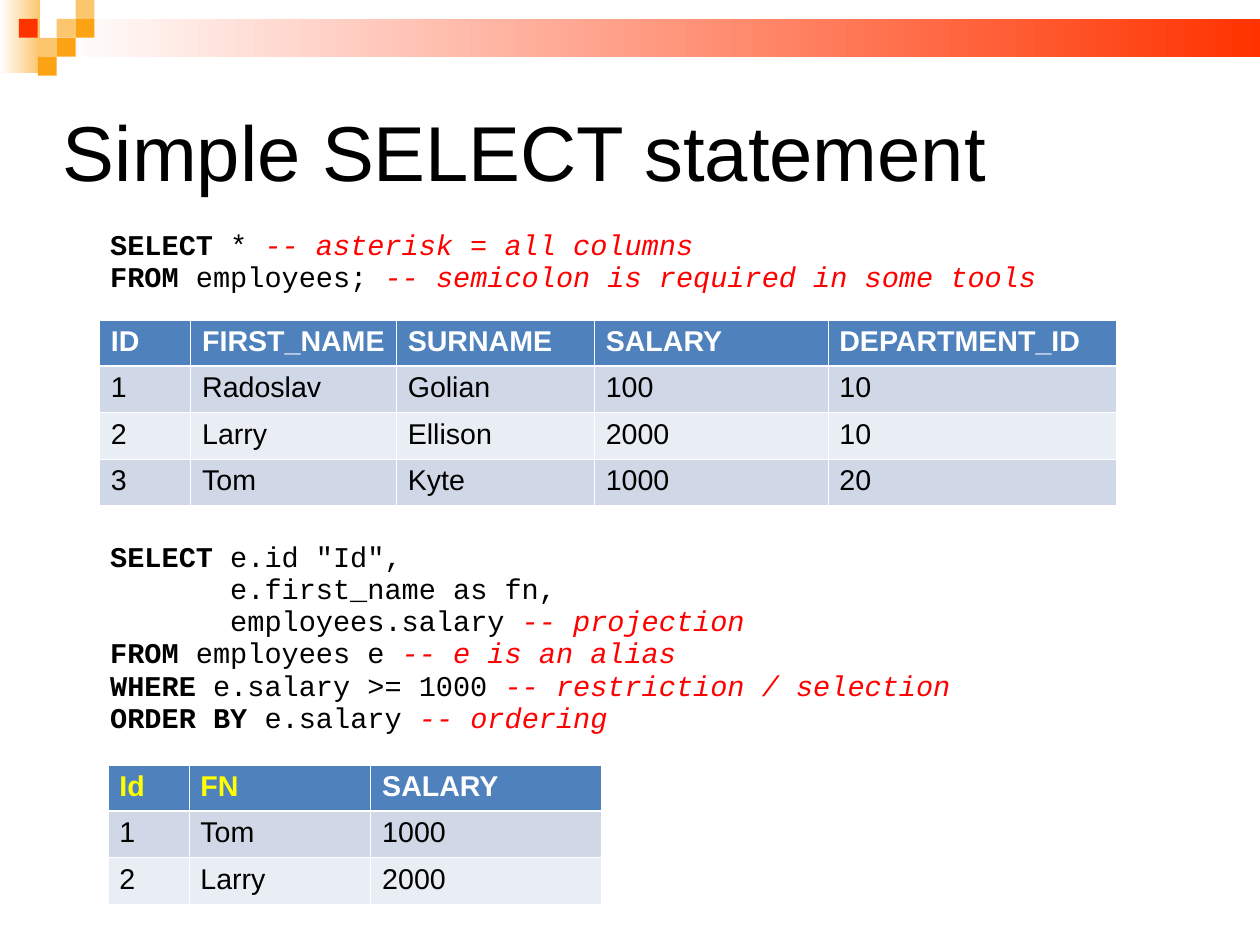
from lxml.etree import SubElement
from pptx import Presentation
from pptx.dml.color import RGBColor
from pptx.enum.shapes import MSO_SHAPE
from pptx.enum.text import MSO_ANCHOR
from pptx.oxml.ns import qn
from pptx.util import Cm, Pt

BLACK, WHITE, RED, YELLOW = "000000", "FFFFFF", "FF0000", "FFFF00"
SCARLET, ORANGE, PEACH = "FF3300", "FBA313", "FCC66E"
HEADER_BLUE, BANDS = "4F81BD", ("D0D8E8", "E9EDF4")
THIN, THICK = 0.45, 1.47

# Code lines: (keyword, plain code, comment)
ALL_COLUMNS_QUERY = [
    ("SELECT ", "* ", "-- asterisk = all columns"),
    ("FROM", " employees; ", "-- semicolon is required in some tools"),
]
FILTERED_QUERY = [
    ("SELECT ", 'e.id "Id",\n       e.first_name as fn,\n       employees.salary ',
     "-- projection"),
    ("FROM", " employees e ", "-- e is an alias"),
    ("WHERE ", "e.salary >= 1000 ", "-- restriction / selection"),
    ("ORDER BY ", "e.salary ", "-- ordering"),
]
EMPLOYEES = [
    ("ID", "FIRST_NAME", "SURNAME", "SALARY", "DEPARTMENT_ID"),
    ("1", "Radoslav", "Golian", "100", "10"),
    ("2", "Larry", "Ellison", "2000", "10"),
    ("3", "Tom", "Kyte", "1000", "20"),
]
FILTERED_ROWS = [("Id", "FN", "SALARY"), ("1", "Tom", "1000"), ("2", "Larry", "2000")]


def color(hex_value):
    return RGBColor.from_string(hex_value)


def add_block(slide, left, top, width, height, fill_color, fade=False):
    block = slide.shapes.add_shape(
        MSO_SHAPE.RECTANGLE, Cm(left), Cm(top), Cm(width), Cm(height))
    block.shadow.inherit = False
    block.line.fill.background()
    if fade:
        block.fill.gradient()
        block.fill.gradient_angle = 0
        for stop, stop_color in zip(block.fill.gradient_stops, (WHITE, fill_color)):
            stop.color.rgb = color(stop_color)
    else:
        block.fill.solid()
        block.fill.fore_color.rgb = color(fill_color)


def add_banner(slide, left, top, width, tile):
    # Fading strips
    add_block(slide, left, top, 0.89, 1.63, PEACH, fade=True)
    add_block(slide, left + 3 * tile, top + tile, width - 3 * tile, 2 * tile,
              SCARLET, fade=True)
    # Mosaic tiles by column and row
    for column, row, tile_color in [
            (3, 1, PEACH), (4, 0, PEACH), (4, 1, ORANGE), (2, 2, PEACH),
            (1, 1, SCARLET), (3, 2, ORANGE), (2, 3, ORANGE)]:
        add_block(slide, left + column * tile, top + row * tile, tile, tile, tile_color)


def add_text_frame(slide, left, top, width, height):
    frame = slide.shapes.add_textbox(Cm(left), Cm(top), Cm(width), Cm(height)).text_frame
    frame.word_wrap = True
    return frame


def add_title(slide, left, top, width, height, title):
    frame = add_text_frame(slide, left, top, width, height)
    frame.margin_left = frame.margin_right = frame.margin_top = frame.margin_bottom = 0
    frame.vertical_anchor = MSO_ANCHOR.MIDDLE
    heading = frame.paragraphs[0]
    heading.text = title
    heading.line_spacing = 0.87
    heading.font.name, heading.font.size = "Arial", Pt(49)
    heading.font.color.rgb = color(BLACK)


def add_code(slide, left, top, width, height, query):
    frame = add_text_frame(slide, left, top, width, height)
    for index, (keyword, code, comment) in enumerate(query):
        line = frame.paragraphs[0] if index == 0 else frame.add_paragraph()
        line.line_spacing = 0.94
        line.font.name, line.font.size = "Courier New", Pt(18)
        for text, text_color, bold, italic in [
                (keyword, BLACK, True, False),
                (code, BLACK, False, False),
                (comment, RED, False, True)]:
            for part_index, part in enumerate(text.split("\n")):
                if part_index:
                    line.add_line_break()
                run = line.add_run()
                run.text = part
                run.font.bold, run.font.italic = bold, italic
                run.font.color.rgb = color(text_color)


def set_borders(cell, top_width, bottom_width):
    properties = cell._tc.get_or_add_tcPr()
    for side, width in (("L", THIN), ("R", THIN), ("T", top_width), ("B", bottom_width)):
        border = SubElement(properties, qn(f"a:ln{side}"), w=str(Pt(width)))
        fill = SubElement(border, qn("a:solidFill"))
        SubElement(fill, qn("a:srgbClr"), val=WHITE)


def add_result_table(slide, left, top, column_widths, row_height, rows, header_colors):
    table = slide.shapes.add_table(
        len(rows), len(column_widths), Cm(left), Cm(top),
        Cm(sum(column_widths)), Cm(row_height * len(rows))).table
    table.horz_banding = False
    for column, width in zip(table.columns, column_widths):
        column.width = Cm(width)
    for row_index, values in enumerate(rows):
        table.rows[row_index].height = Cm(row_height)
        is_header = row_index == 0
        for column_index, value in enumerate(values):
            cell = table.cell(row_index, column_index)
            set_borders(cell, THICK if row_index == 1 else THIN,
                        THICK if is_header else THIN)
            cell.fill.solid()
            cell.fill.fore_color.rgb = color(
                HEADER_BLUE if is_header else BANDS[(row_index - 1) % 2])
            entry = cell.text_frame.paragraphs[0]
            entry.text = value
            entry.font.name, entry.font.size = "Arial", Pt(18)
            entry.font.bold = is_header
            entry.font.color.rgb = color(
                header_colors[column_index] if is_header else BLACK)


def main():
    presentation = Presentation()
    presentation.slide_width, presentation.slide_height = Cm(28), Cm(21)
    slide = presentation.slides.add_slide(presentation.slide_layouts[6])

    add_banner(slide, 0, 0, 28, 0.42)
    add_title(slide, 1.4, 1.4, 25.2, 4.19, "Simple SELECT statement")
    # Query for all columns and its result
    add_code(slide, 2.2, 4.98, 23.2, 1.7, ALL_COLUMNS_QUERY)
    add_result_table(slide, 2.21, 7.11, (2.03, 4.57, 4.4, 5.19, 6.4), 1.03,
                     EMPLOYEES, [WHITE] * 5)
    # Query with aliases and its result
    add_code(slide, 2.2, 11.91, 25.2, 4.55, FILTERED_QUERY)
    add_result_table(slide, 2.4, 17, (1.8, 4.04, 5.13), 1.03,
                     FILTERED_ROWS, [YELLOW, YELLOW, WHITE])

    presentation.save("out.pptx")


if __name__ == "__main__":
    main()
